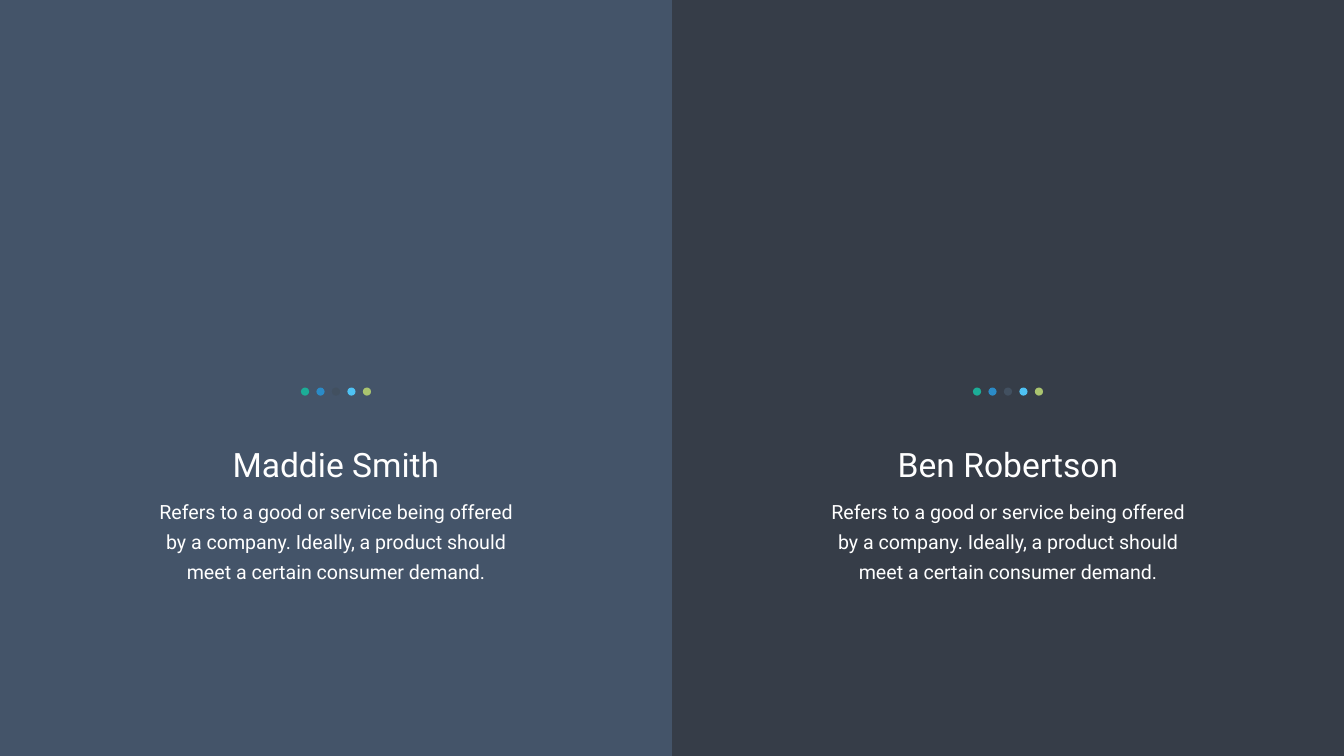
from dataclasses import dataclass

from pptx import Presentation
from pptx import util as u
from pptx.dml.color import RGBColor
from pptx.enum import shapes, text


@dataclass(frozen=True)
class Theme:
    font: str = "Roboto"
    dark: str = "363D48"
    slate: str = "445469"
    white: str = "FFFFFF"
    dots: tuple = ("1CAD97", "2B8BC7", "425060", "4EC2F4", "AAC46F")
    name_size: int = 48
    body_size: int = 28
    body_leading: int = 43


class ProfilePage:
    def __init__(self, deck, theme):
        self.theme = theme
        self.page = deck.slides.add_slide(deck.slide_layouts[6])
        fill = self.page.background.fill
        fill.solid()
        fill.fore_color.rgb = RGBColor.from_string(theme.dark)

    def shape(self, parent, kind, left, top, width, height, color):
        shape = parent.add_shape(kind, u.Cm(left), u.Cm(top), u.Cm(width), u.Cm(height))
        shape.shadow.inherit = False
        shape.fill.solid()
        shape.fill.fore_color.rgb = RGBColor.from_string(color)
        shape.line.fill.background()

    def panel(self, left, width, height):
        self.shape(self.page.shapes, shapes.MSO_SHAPE.RECTANGLE,
                   left, 0, width, height, self.theme.slate)

    def dot_row(self, center, top, size=0.41, pitch=0.78):
        colors = self.theme.dots
        group = self.page.shapes.add_group_shape()
        left = center - ((len(colors) - 1) * pitch + size) / 2
        for index, color in enumerate(colors):
            self.shape(group.shapes, shapes.MSO_SHAPE.OVAL,
                       left + index * pitch, top, size, size, color)

    def label(self, words, center, top, width, height, size):
        box = self.page.shapes.add_textbox(
            u.Cm(center - width / 2), u.Cm(top), u.Cm(width), u.Cm(height))
        frame = box.text_frame
        frame.word_wrap = False
        frame.auto_size = text.MSO_AUTO_SIZE.SHAPE_TO_FIT_TEXT
        para = frame.paragraphs[0]
        para.alignment = text.PP_ALIGN.CENTER
        span = para.add_run()
        span.text = words
        span.font.name = self.theme.font
        span.font.size = u.Pt(size)
        span.font.color.rgb = RGBColor.from_string(self.theme.white)
        return frame

    def body(self, words, center, top, width, height):
        frame = self.label(words, center, top, width, height, self.theme.body_size)
        frame.word_wrap = True
        frame.margin_left = frame.margin_right = u.Cm(0.61)
        frame.margin_top = frame.margin_bottom = u.Cm(0.3)
        frame.paragraphs[0].line_spacing = u.Pt(self.theme.body_leading)


def main():
    width, height = 67.72, 38.1
    half = width / 2
    theme = Theme()
    deck = Presentation()
    deck.slide_width, deck.slide_height = u.Cm(width), u.Cm(height)
    profile = ProfilePage(deck, theme)

    # Left half background
    profile.panel(0, half, height)

    # One profile centred in each half
    description = ("Refers to a good or service being offered by a company. "
                   "Ideally, a product should meet a certain consumer demand.")
    people = (("Maddie Smith", 11.2), ("Ben Robertson", 11.89))
    for index, (name, name_width) in enumerate(people):
        center = half * (index + 0.5)
        profile.dot_row(center, 19.53)
        profile.label(name, center, 22.25, name_width, 2.31, theme.name_size)
        profile.body(description, center, 24.56, 20.12, 5.08)

    deck.save("out.pptx")


if __name__ == "__main__":
    main()
